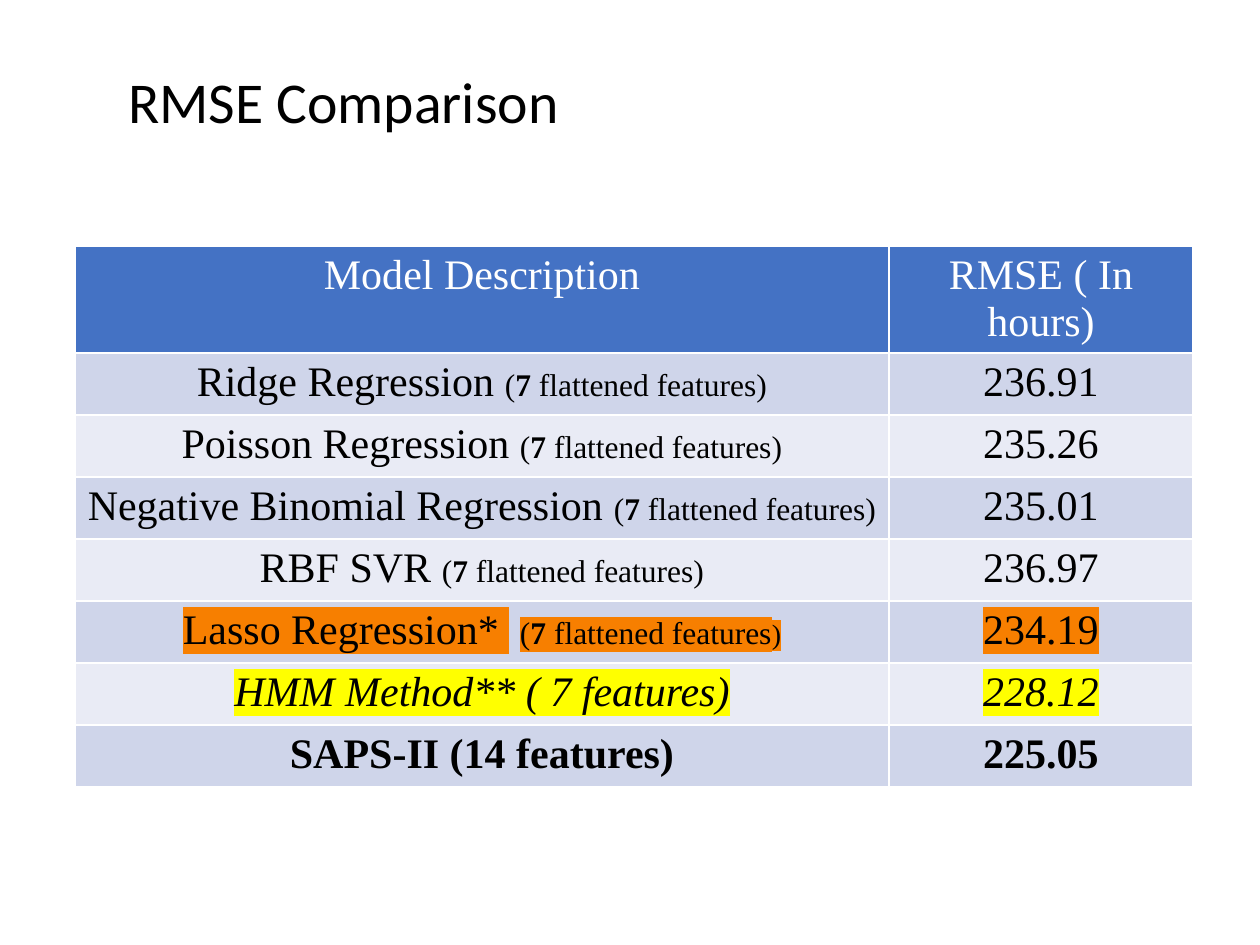
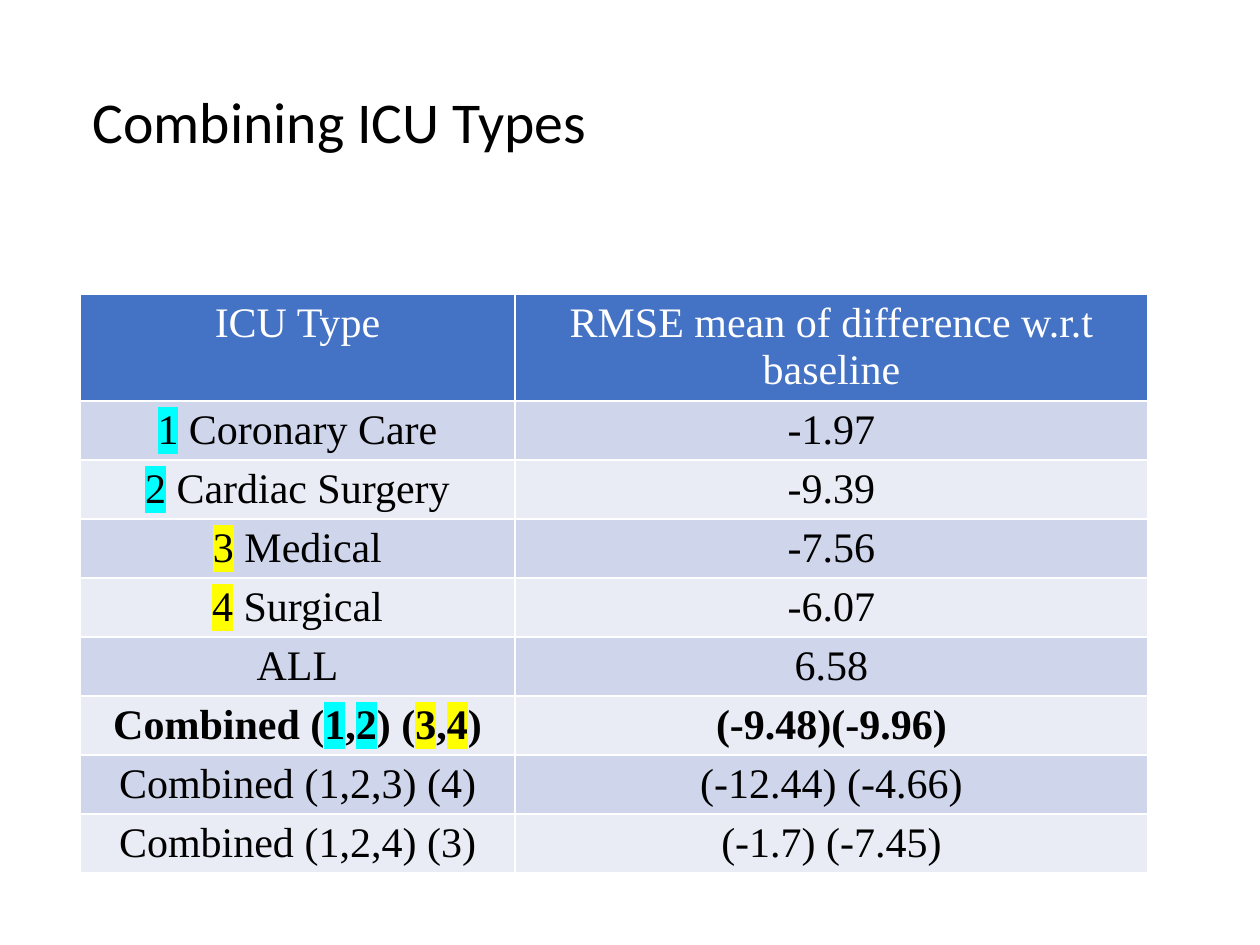
from dataclasses import dataclass

from lxml import etree
from pptx import Presentation
from pptx import util as u
from pptx.dml.color import RGBColor
from pptx.enum import text
from pptx.oxml.ns import qn


@dataclass(frozen=True)
class Theme:
    title_font: str = "Calibri"
    table_font: str = "Times New Roman"
    title_size: int = 33
    table_size: int = 24
    detail_size: int = 18
    small_size: int = 16
    ink: str = "000000"
    header_ink: str = "FFFFFF"
    header_fill: str = "4472C4"
    bands: tuple = ("CFD5EA", "E9EBF5")
    orange: str = "F77F00"
    yellow: str = "FFFF00"
    cyan: str = "00FFFF"


THEME = Theme()
PX = u.Inches(1) // 126

BOLD = {"bold": True}
DETAIL = {"size": THEME.detail_size}
ORANGE = {"highlight": THEME.orange}
YELLOW = {"highlight": THEME.yellow}
CYAN = {"highlight": THEME.cyan}
BEST = YELLOW | {"italic": True}


def flattened(model):
    return [(model + " ", {}), ("(", DETAIL), ("7", DETAIL | BOLD),
            (" flattened features)", DETAIL)]


LASSO = [
    ("Lasso Regression* ", ORANGE),
    (" ", {}),
    ("(", DETAIL | ORANGE),
    ("7", DETAIL | ORANGE | BOLD),
    (" flattened features", DETAIL | ORANGE),
    (")", ORANGE | {"size": THEME.small_size}),
]
COMBINED_PAIRS = [
    ("Combined (", BOLD), ("1", BOLD | CYAN), (",", BOLD), ("2", BOLD | CYAN),
    (") (", BOLD), ("3", BOLD | YELLOW), (",", BOLD), ("4", BOLD | YELLOW),
    (")", BOLD),
]

# A cell is plain text or a list of (text, style) runs; boxes are left, top, width, height.
SLIDES = [
    {
        "title": "RMSE Comparison",
        "title_box": (116, 31, 1050, 147),
        "table_at": (75, 246),
        "columns": (814, 304),
        "header_height": 105,
        "row_height": 62,
        "header": ("Model Description", "RMSE ( In hours)"),
        "rows": [
            (flattened("Ridge Regression"), "236.91"),
            (flattened("Poisson Regression"), "235.26"),
            (flattened("Negative Binomial Regression"), "235.01"),
            (flattened("RBF SVR"), "236.97"),
            (LASSO, [("234.19", ORANGE)]),
            ([("HMM Method** ( 7 features)", BEST)], [("228.12", BEST)]),
            ([("SAPS-II (14 features)", BOLD)], [("225.05", BOLD)]),
        ],
    },
    {
        "title": "Combining ICU Types",
        "title_box": (80, 21, 1094, 207),
        "table_at": (80, 294),
        "columns": (435, 633),
        "header_height": 105,
        "row_height": 59,
        "header": ("ICU Type", "RMSE mean of difference w.r.t baseline"),
        "rows": [
            ([("1", CYAN), (" Coronary Care", {})], "-1.97"),
            ([("2", CYAN), (" Cardiac Surgery", {})], "-9.39"),
            ([("3", YELLOW), (" Medical", {})], "-7.56"),
            ([("4", YELLOW), (" Surgical", {})], "-6.07"),
            ("ALL", "6.58"),
            (COMBINED_PAIRS, [("(-9.48)(-9.96)", BOLD)]),
            ("Combined (1,2,3) (4)", "(-12.44) (-4.66)"),
            ("Combined (1,2,4) (3)", "(-1.7) (-7.45)"),
        ],
    },
]


def add_span(para, words, font, size, color, bold=False, italic=False, highlight=None):
    span = para.add_run()
    span.text = words
    span.font.size = u.Pt(size)
    span.font.bold = bold
    span.font.italic = italic
    span.font.color.rgb = RGBColor.from_string(color)
    if highlight:
        mark = etree.SubElement(span.font._element, qn("a:highlight"))
        etree.SubElement(mark, qn("a:srgbClr"), val=highlight)
    span.font.name = font


def add_title(page, title, bounds):
    frame = page.shapes.add_textbox(*(n * PX for n in bounds)).text_frame
    frame.word_wrap = True
    frame.vertical_anchor = text.MSO_ANCHOR.MIDDLE
    para = frame.paragraphs[0]
    para.line_spacing = 0.9
    add_span(para, title, THEME.title_font, THEME.title_size, THEME.ink)


def end_in_table_font(para):
    """Give the paragraph mark the table font, so that it does not stretch the row."""
    mark = etree.SubElement(para._p, qn("a:endParaRPr"), sz=str(THEME.table_size * 100))
    etree.SubElement(mark, qn("a:latin"), typeface=THEME.table_font)


def fill_cell(cell, runs, fill, ink):
    cell.fill.solid()
    cell.fill.fore_color.rgb = RGBColor.from_string(fill)
    cell.margin_bottom = 0
    para = cell.text_frame.paragraphs[0]
    para.alignment = text.PP_ALIGN.CENTER
    for words, style in [(runs, {})] if isinstance(runs, str) else runs:
        add_span(para, words, THEME.table_font,
                 **({"size": THEME.table_size, "color": ink} | style))
    end_in_table_font(para)


def add_results_table(page, content):
    rows = [content["header"], *content["rows"]]
    columns = content["columns"]
    heights = [content["header_height"]] + [content["row_height"]] * len(content["rows"])
    bounds = (*content["table_at"], sum(columns), sum(heights))
    table = page.shapes.add_table(len(rows), len(columns), *(n * PX for n in bounds)).table
    for column, width in zip(table.columns, columns):
        column.width = width * PX
    for r, (row, height) in enumerate(zip(rows, heights)):
        table.rows[r].height = height * PX
        fill = THEME.bands[(r - 1) % 2] if r else THEME.header_fill
        ink = THEME.ink if r else THEME.header_ink
        for c, runs in enumerate(row):
            fill_cell(table.cell(r, c), runs, fill, ink)


def main():
    deck = Presentation()
    deck.slide_width, deck.slide_height = u.Inches(10), u.Inches(7.5)
    for content in SLIDES:
        page = deck.slides.add_slide(deck.slide_layouts[6])
        add_title(page, content["title"], content["title_box"])
        add_results_table(page, content)
    deck.save("out.pptx")


if __name__ == "__main__":
    main()
